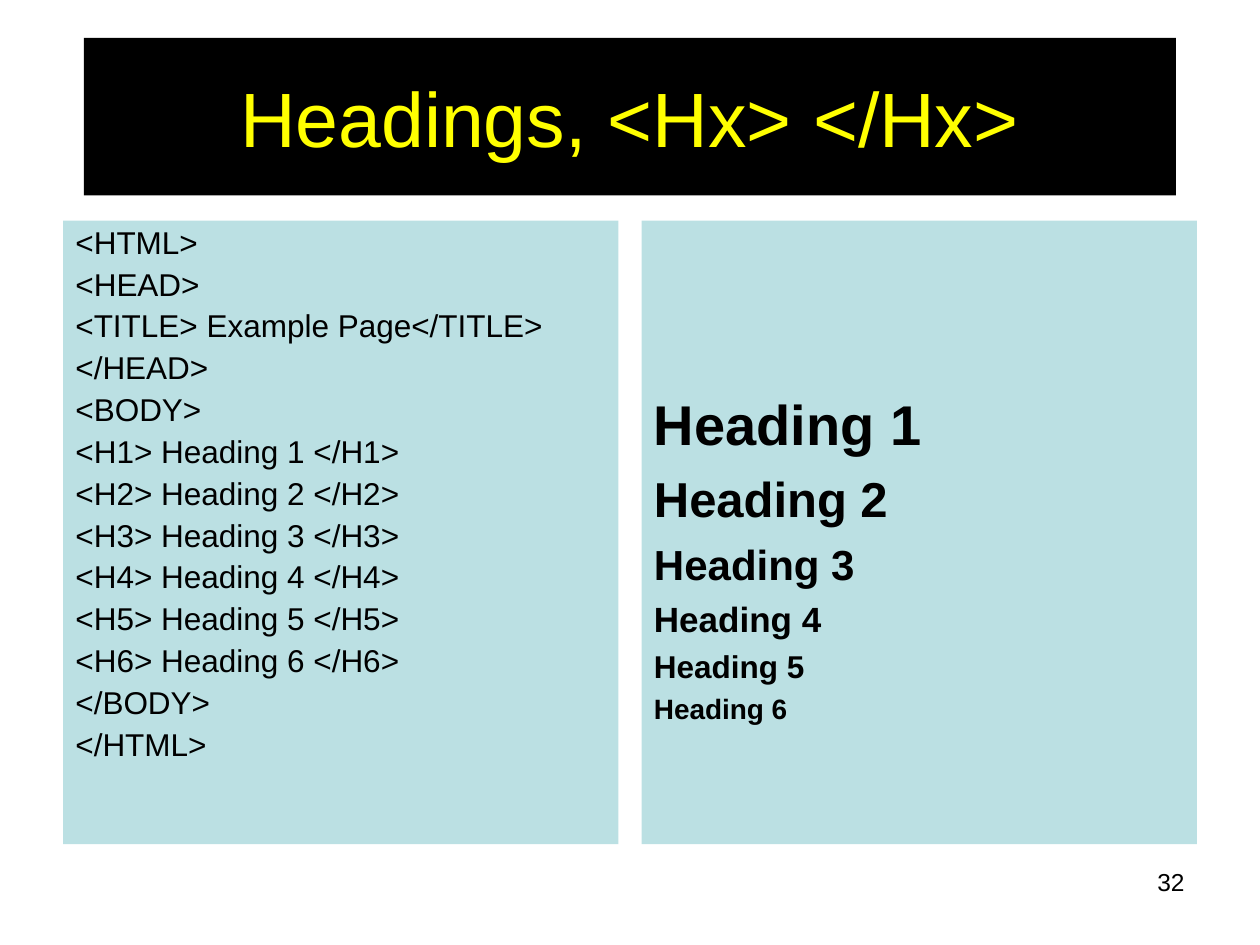
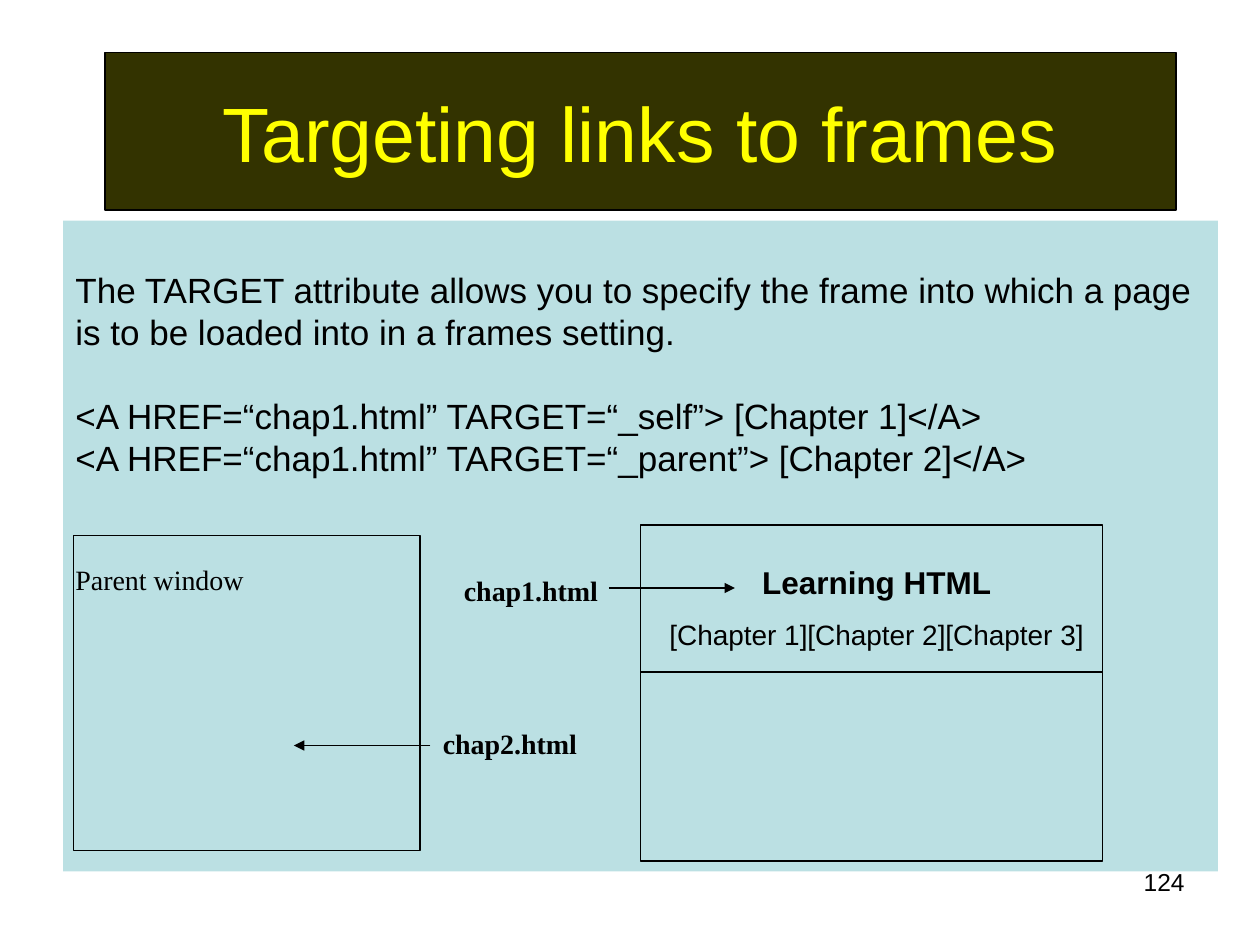
from lxml.etree import SubElement
from pptx import Presentation
from pptx.dml.color import RGBColor
from pptx.enum.shapes import MSO_CONNECTOR, MSO_SHAPE
from pptx.enum.text import MSO_ANCHOR, MSO_AUTO_SIZE, PP_ALIGN
from pptx.oxml.ns import qn
from pptx.util import Inches, Pt

COLUMNS, ROWS = 120, 90
CELL = Inches(10) // COLUMNS

BLACK, YELLOW, OLIVE, PALE_BLUE = "000000", "FFFF00", "333300", "BBE0E3"
SANS, SERIF = "Arial", "Times New Roman"
LINE_HEIGHT = 1.2
PANEL_LEFT, PANEL_TOP = 6, 21

HTML_LINES = [
    "<HTML>", "<HEAD>", "<TITLE> Example Page</TITLE>", "</HEAD>", "<BODY>",
    *(f"<H{level}> Heading {level} </H{level}>" for level in range(1, 7)),
    "</BODY>", "</HTML>",
]
HEADING_SIZES = [32, 28, 24, 20, 18, 16]


def color(value):
    return RGBColor.from_string(value)


def grid(*cells):
    """Turn counts of grid cells into lengths."""
    return [round(count * CELL) for count in cells]


def set_outline(item):
    item.line.color.rgb = color(BLACK)
    item.line.width = Pt(0.75)


def fill_with(shape, fill):
    shape.fill.solid()
    shape.fill.fore_color.rgb = color(fill)


def line(text, size, font=SANS, bold=False, before=0, ink=BLACK, height=LINE_HEIGHT):
    """Describe one paragraph of a text box."""
    return dict(text=text, size=size, font=font, bold=bold, before=before,
                ink=ink, height=height)


def write(frame, lines, align=PP_ALIGN.LEFT):
    for index, entry in enumerate(lines):
        paragraph = frame.add_paragraph() if index else frame.paragraphs[0]
        paragraph.alignment = align
        paragraph.space_before = Pt(entry["before"])
        paragraph.line_spacing = Pt(round(entry["size"] * entry["height"], 1))
        run = paragraph.add_run()
        run.text = entry["text"]
        run.font.size = Pt(entry["size"])
        run.font.name = entry["font"]
        run.font.bold = entry["bold"]
        run.font.color.rgb = color(entry["ink"])


def add_text(shapes, place, lines, align=PP_ALIGN.LEFT, fill=None, top_inset=0.05):
    box = shapes.add_textbox(*grid(*place))
    if fill:
        fill_with(box, fill)
    frame = box.text_frame
    frame.word_wrap = True
    frame.margin_top = Inches(top_inset)
    write(frame, lines, align)


def add_frame(shapes, place):
    frame = shapes.add_shape(MSO_SHAPE.RECTANGLE, *grid(*place))
    frame.shadow.inherit = False
    frame.fill.background()
    set_outline(frame)


def add_line(shapes, start, end, arrow=False):
    connector = shapes.add_connector(MSO_CONNECTOR.STRAIGHT, *grid(*start, *end))
    set_outline(connector)
    if arrow:
        SubElement(connector.line._get_or_add_ln(), qn("a:tailEnd"), type="triangle")
    SubElement(connector._element.spPr, qn("a:effectLst"))


def add_titled_slide(presentation, title_text, title_place, title_fill, number):
    slide = presentation.slides.add_slide(presentation.slide_layouts[5])
    title = slide.shapes.title
    title.left, title.top, title.width, title.height = grid(*title_place)
    fill_with(title, title_fill)
    title.text_frame.auto_size = MSO_AUTO_SIZE.NONE
    title.text_frame.vertical_anchor = MSO_ANCHOR.MIDDLE
    write(title.text_frame, [line(title_text, 44, ink=YELLOW)], PP_ALIGN.CENTER)
    add_text(slide.shapes, (86, 82, 28, 6.2), [line(number, 14)], PP_ALIGN.RIGHT)
    return slide


def build_headings_slide(presentation):
    slide = add_titled_slide(presentation, "Headings, <Hx> </Hx>",
                             (8, 3.6, 104, 15), BLACK, "32")
    width, height, gap = 52.9, 59.4, 2.2
    source = [line(text, 18, before=4.5 if index else 0, height=0.9 * LINE_HEIGHT)
              for index, text in enumerate(HTML_LINES)]
    result = [line(f"Heading {level}", size, bold=True,
                   before=size / 4 if level > 1 else 0)
              for level, size in enumerate(HEADING_SIZES, 1)]
    for index, (lines, inset) in enumerate([(source, 0.05), (result, 1.34)]):
        left = PANEL_LEFT + index * (width + gap)
        add_text(slide.shapes, (left, PANEL_TOP, width, height), lines,
                 fill=PALE_BLUE, top_inset=inset)


def build_frames_slide(presentation):
    slide = add_titled_slide(presentation, "Targeting links to frames",
                             (10, 5, 102, 15), OLIVE, "124")
    set_outline(slide.shapes.title)
    shapes = slide.shapes
    add_text(shapes, (PANEL_LEFT, PANEL_TOP, 110, 62), [
        line("The TARGET attribute allows you to specify the frame into which "
             "a page is to be loaded into in a frames setting.", 20),
        line("<A HREF=“chap1.html” TARGET=“_self”> [Chapter 1]</A>", 20, before=24),
        line("<A HREF=“chap1.html” TARGET=“_parent”> [Chapter 2]</A>", 20),
        line("Parent window", 16, SERIF, before=48),
    ], fill=PALE_BLUE, top_inset=0.38)

    frameset = shapes.add_group_shape().shapes
    add_text(frameset, (62, 53, 43, 9.7), [
        line("Learning HTML", 18, bold=True),
        line("[Chapter 1][Chapter 2][Chapter 3]", 16, before=10),
    ], PP_ALIGN.CENTER)
    add_frame(frameset, (61, 50, 44, 32))
    add_line(frameset, (61, 64), (105, 64))

    for name, left, top in [("chap1.html", 43, 54), ("chap2.html", 41, 68.6)]:
        add_text(shapes, (left, top, 17, 4.4), [line(name, 16, SERIF, bold=True)])
    add_line(shapes, (41, 71), (28, 71), arrow=True)
    add_line(shapes, (58, 56), (70, 56), arrow=True)
    add_frame(shapes, (7, 51, 33, 30))


def main():
    presentation = Presentation()
    presentation.slide_width, presentation.slide_height = grid(COLUMNS, ROWS)
    build_headings_slide(presentation)
    build_frames_slide(presentation)
    presentation.save("out.pptx")


if __name__ == "__main__":
    main()
